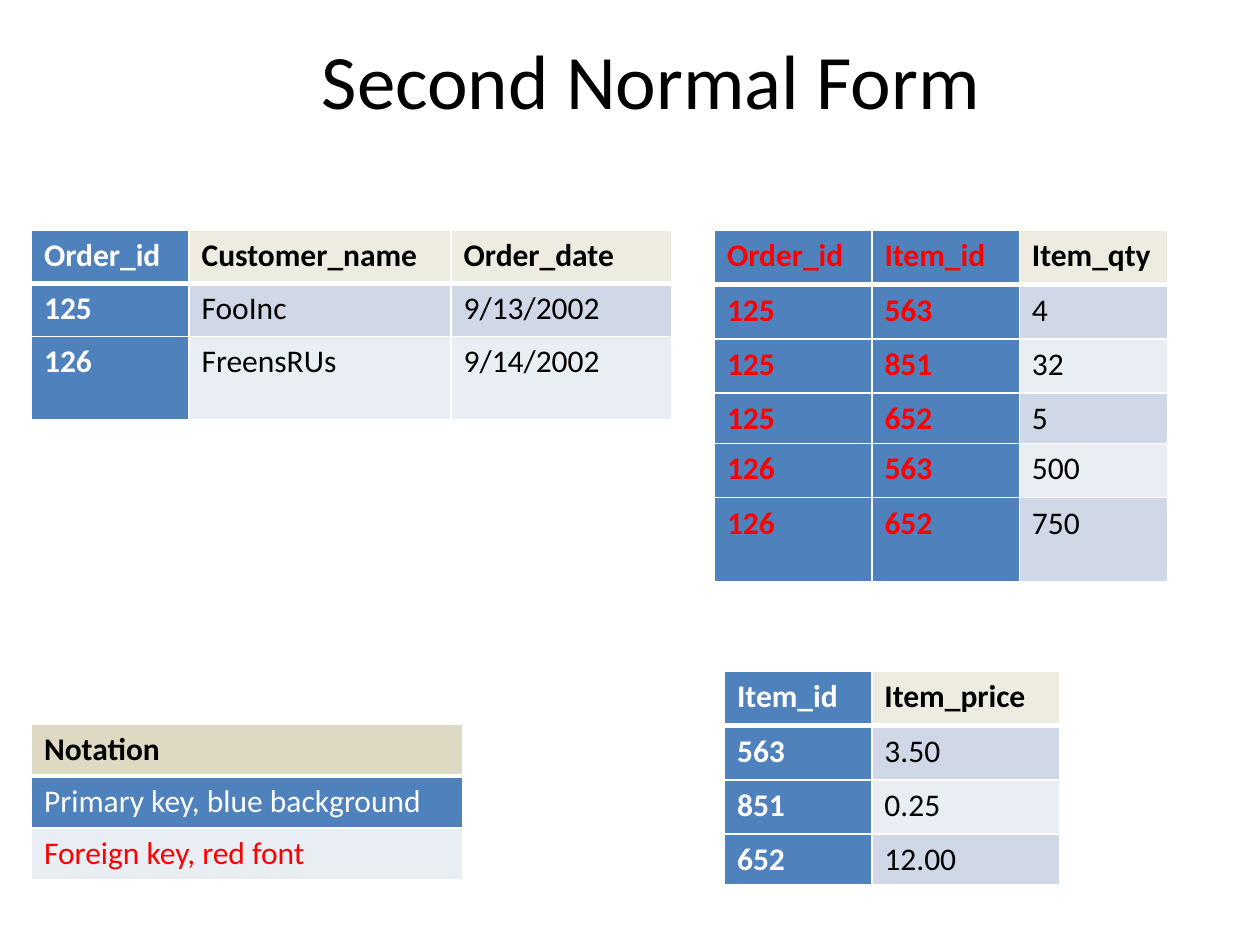
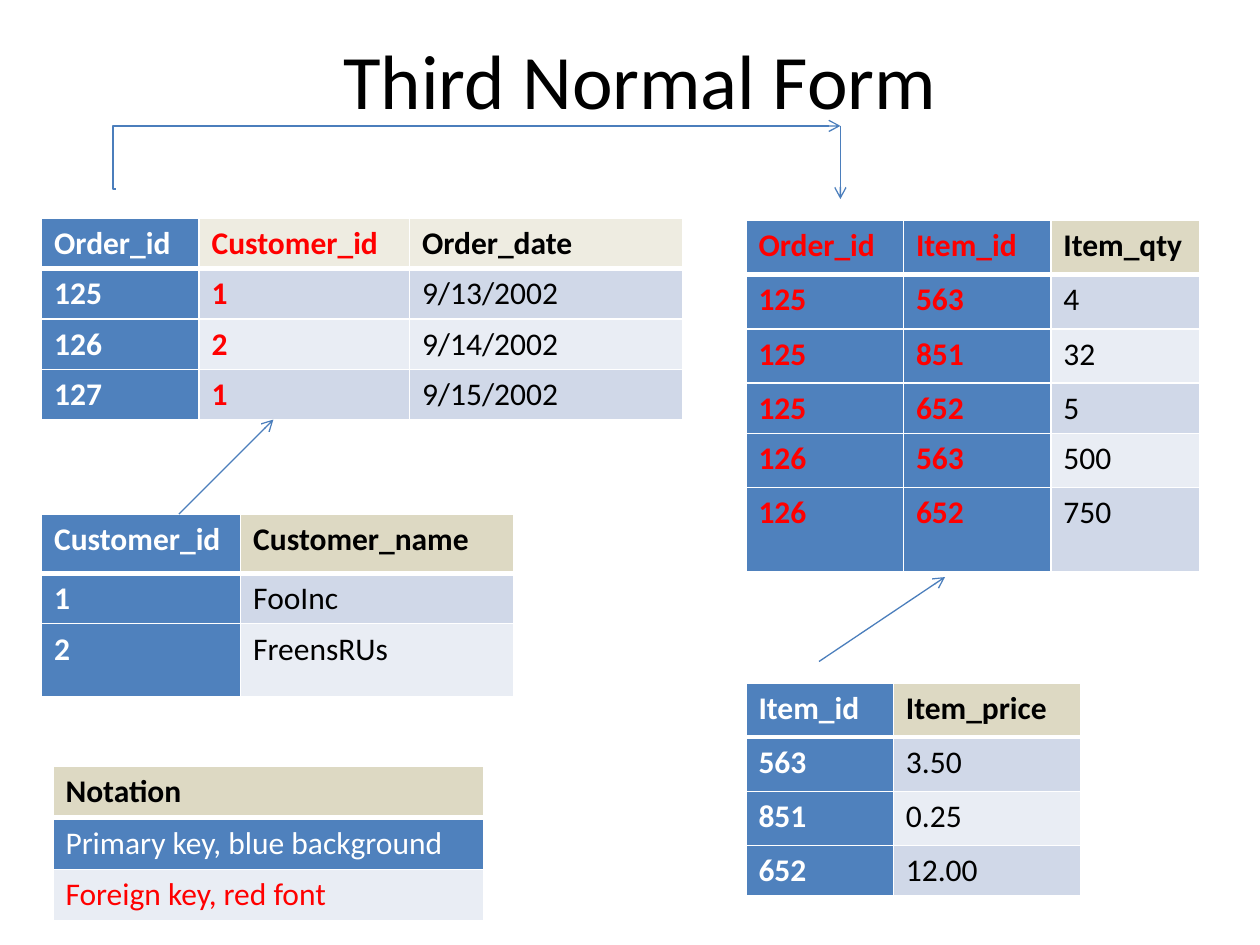
from lxml import etree
from pptx import Presentation
from pptx import util as u
from pptx.dml.color import RGBColor
from pptx.enum import shapes, text
from pptx.oxml import ns

FONT = "Calibri"
BLACK, WHITE, RED = "000000", "FFFFFF", "FF0000"
BLUE, LINE = "4F81BD", "4B7EBC"
PALE, SAND = "EEECE1", "DDD9C3"
BANDS = ["E9EDF4", "D0D8E8"]

ITEMS = [["Order_id", "Item_id", "Item_qty"],
         ["125", "563", "4"],
         ["125", "851", "32"],
         ["125", "652", "5"],
         ["126", "563", "500"],
         ["126", "652", "750"]]
PRICES = [["Item_id", "Item_price"],
          ["563", "3.50"],
          ["851", "0.25"],
          ["652", "12.00"]]
NOTES = [["Notation"],
         ["Primary key, blue background"],
         ["Foreign key, red font"]]


def rgb(code):
    return RGBColor.from_string(code)


def style(run, size, color, bold=False):
    run.font.name = FONT
    run.font.size = u.Pt(size)
    run.font.bold = bold
    run.font.color.rgb = rgb(color)


def title(slide, left, words):
    box = slide.shapes.add_textbox(u.Inches(left), 0, u.Inches(9), u.Inches(1.25))
    frame = box.text_frame
    frame.word_wrap = True
    frame.vertical_anchor = text.MSO_ANCHOR.MIDDLE
    frame.text = words
    para = frame.paragraphs[0]
    para.alignment = text.PP_ALIGN.CENTER
    style(para.runs[0], 44, BLACK)


def border(cell, row):
    props = cell._tc.get_or_add_tcPr()
    widths = {"lnL": 1, "lnR": 1,
              "lnT": 3 if row == 1 else 1,
              "lnB": 3 if row == 0 else 1}
    for spot, (tag, width) in enumerate(widths.items()):
        edge = etree.Element(ns.qn("a:" + tag), w=str(u.Pt(width)))
        fill = etree.SubElement(edge, ns.qn("a:solidFill"))
        etree.SubElement(fill, ns.qn("a:srgbClr"), val=WHITE)
        props.insert(spot, edge)


def grid(slide, left, top, cols, highs, rows, look):
    frame = slide.shapes.add_table(
        len(rows), len(cols), u.Inches(left), u.Inches(top),
        u.Inches(sum(cols)), u.Inches(sum(highs)))
    table = frame.table
    for col, width in zip(table.columns, cols):
        col.width = u.Inches(width)
    for r, (high, row) in enumerate(zip(highs, rows)):
        table.rows[r].height = u.Inches(high)
        for c, value in enumerate(row):
            cell = table.cell(r, c)
            fill, color, bold = look(r, c)
            cell.text_frame.text = value
            style(cell.text_frame.paragraphs[0].runs[0], 18, color, bold)
            cell.fill.solid()
            cell.fill.fore_color.rgb = rgb(fill)
            border(cell, r)


def keyed(head, main=(0,), other=()):
    def look(r, c):
        fill = BLUE if c in main else BANDS[r % 2] if r else head
        color = RED if c in other else WHITE if c in main else BLACK
        return fill, color, r == 0 or c in main or c in other
    return look


def items(slide, left, top, head):
    grid(slide, left, top, [1.25, 1.17, 1.18],
         [0.43, 0.43, 0.43, 0.37, 0.43, 0.67], ITEMS,
         keyed(head, (0, 1), (0, 1)))


def prices(slide, left, top, head):
    grid(slide, left, top, [1.17, 1.49], [0.43, 0.43, 0.43, 0.37],
         PRICES, keyed(head))


def notes(slide, left, top):
    looks = [(SAND, BLACK, True), (BLUE, WHITE, False), (BANDS[0], RED, False)]
    grid(slide, left, top, [3.42], [0.41] * 3, NOTES, lambda r, c: looks[r])


def arrow(slide, start, end, bend=None):
    kind = shapes.MSO_CONNECTOR.STRAIGHT
    if bend is not None:
        kind = shapes.MSO_CONNECTOR.ELBOW
    link = slide.shapes.add_connector(kind, *map(u.Inches, start + end))
    link.line.color.rgb = rgb(LINE)
    link.line.width = u.Pt(0.75)
    etree.SubElement(link.line._get_or_add_ln(), ns.qn("a:tailEnd"), type="arrow")
    props = link._element.spPr
    etree.SubElement(props, ns.qn("a:effectLst"))
    if bend is not None:
        guides = props.find(".//" + ns.qn("a:avLst"))
        etree.SubElement(guides, ns.qn("a:gd"), name="adj1",
                         fmla=f"val {round(bend * 100000)}")


def second(slide):
    title(slide, 0.67, "Second Normal Form")
    grid(slide, 0.25, 1.83, [1.25, 2.08, 1.75], [0.42, 0.42, 0.66],
         [["Order_id", "Customer_name", "Order_date"],
          ["125", "FooInc", "9/13/2002"],
          ["126", "FreensRUs", "9/14/2002"]], keyed(PALE))
    items(slide, 5.67, 1.83, PALE)
    prices(slide, 5.75, 5.33, PALE)
    notes(slide, 0.25, 5.75)


def third(slide):
    title(slide, 0.58, "Third Normal Form")
    grid(slide, 0.33, 1.73, [1.25, 1.67, 2.17], [0.4] * 4,
         [["Order_id", "Customer_id", "Order_date"],
          ["125", "1", "9/13/2002"],
          ["126", "2", "9/14/2002"],
          ["127", "1", "9/15/2002"]], keyed(PALE, other=(1,)))
    items(slide, 5.92, 1.75, SAND)
    prices(slide, 5.92, 5.42, SAND)
    grid(slide, 0.33, 4.08, [1.58, 2.17], [0.47, 0.37, 0.58],
         [["Customer_id", "Customer_name"],
          ["1", "FooInc"],
          ["2", "FreensRUs"]], keyed(SAND))
    arrow(slide, (1.42, 4.08), (2.17, 3.33))
    arrow(slide, (6.5, 5.25), (7.5, 4.58))
    arrow(slide, (0.92, 1.5), (6.67, 1), bend=-0.004)
    arrow(slide, (6.67, 1), (6.67, 1.58))
    notes(slide, 0.42, 6.08)


def main():
    deck = Presentation()
    deck.slide_width = u.Inches(10)
    deck.slide_height = u.Inches(7.5)
    for build in (second, third):
        build(deck.slides.add_slide(deck.slide_layouts[6]))
    deck.save("out.pptx")


main()
